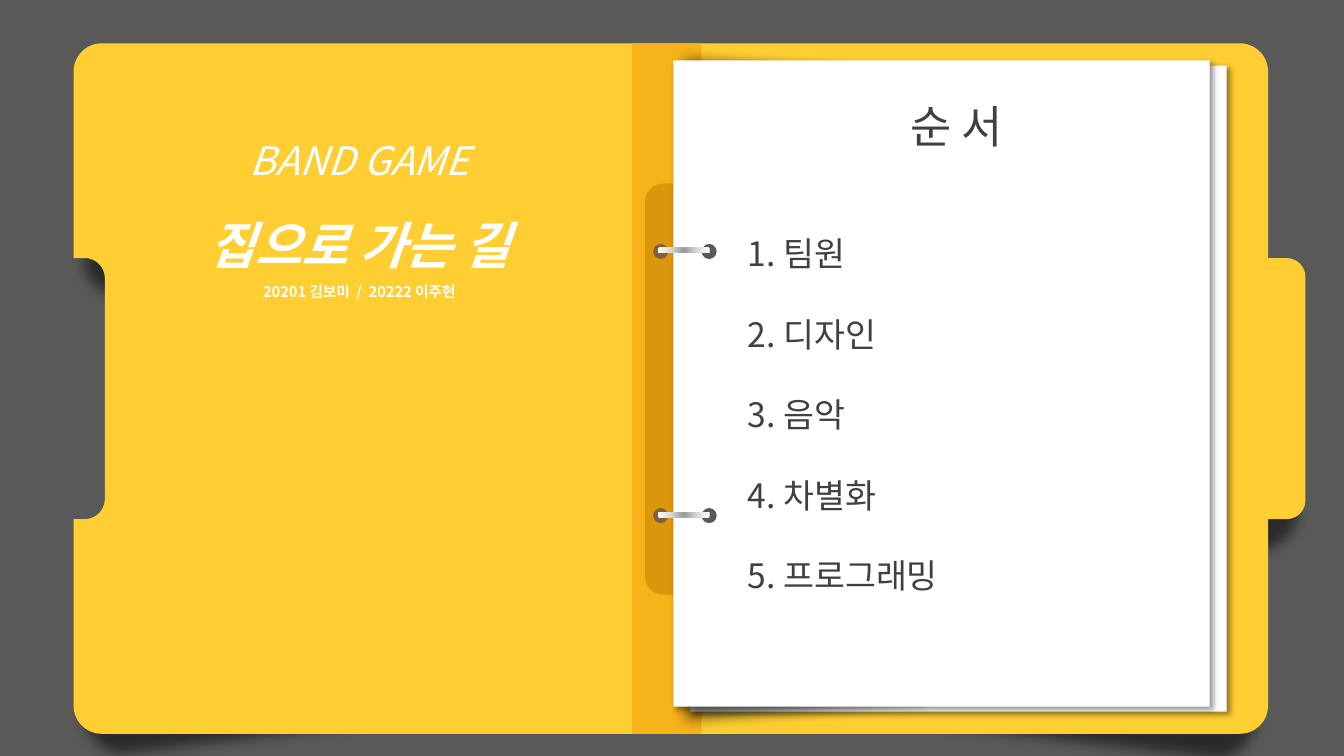
import math

import pptx
import pptx.util
import pptx.dml.color
import pptx.enum.shapes
import pptx.enum.text
import pptx.oxml
import pptx.oxml.ns

SHAPE = pptx.enum.shapes.MSO_SHAPE
ALIGN = pptx.enum.text.PP_ALIGN
FONT = "Noto Sans CJK KR"
NS = pptx.oxml.ns.nsdecls("a")
CELL = pptx.util.Inches(0.1)
COLORS = {
    "desk": "595959",
    "folder": "FFCE33",
    "spine": "F6B31A",
    "clip": "DB970B",
    "paper": "FFFFFF",
    "hole": "83603D",
    "shade": "000000",
    "ink": "404040",
}
AGENDA = ["팀원", "디자인", "음악", "차별화", "프로그래밍"]


def rgb(name):
    return pptx.dml.color.RGBColor.from_string(COLORS[name])


def grid(*cells):
    return [pptx.util.Emu(round(n * CELL)) for n in cells]


def paint(sp, color):
    sp.fill.solid()
    sp.fill.fore_color.rgb = rgb(color)
    sp.line.fill.background()
    sp.shadow.inherit = False


def add_effect(sp, xml):
    effects = sp.element.spPr.find(pptx.oxml.ns.qn("a:effectLst"))
    effects.append(pptx.oxml.parse_xml(xml))


def add_block(s, kind, cells, color, rotation=0, adjust=()):
    sp = s.shapes.add_shape(kind, *grid(*cells))
    paint(sp, color)
    sp.rotation = rotation
    for i, value in enumerate(adjust):
        sp.adjustments[i] = value
    return sp


def add_soft_shade(s, kind, cells, rotation, adjust):
    sp = add_block(s, kind, cells, "shade", rotation, [adjust])
    clr = sp.element.spPr.find(".//" + pptx.oxml.ns.qn("a:srgbClr"))
    clr.append(pptx.oxml.parse_xml(f'<a:alpha {NS} val="53000"/>'))
    add_effect(sp, f'<a:softEdge {NS} rad="{pptx.util.Pt(10)}"/>')


def add_paper(s, left, top):
    sp = add_block(s, SHAPE.RECTANGLE, (left, top, 53.2, 64.1), "paper")
    add_effect(sp, f'<a:outerShdw {NS} blurRad="{pptx.util.Pt(4)}" '
                   f'dist="{pptx.util.Pt(3)}" dir="2700000" algn="tl" rotWithShape="0">'
                   f'<a:srgbClr val="{COLORS["shade"]}"><a:alpha val="40000"/></a:srgbClr>'
                   '</a:outerShdw>')


def arc(cx, cy, radius, start, end, steps=16):
    angles = [math.radians(start + (end - start) * i / steps) for i in range(steps + 1)]
    return [(cx + radius * math.cos(a), cy + radius * math.sin(a)) for a in angles]


def add_folder(s):
    left, top, right, bottom = 7.3, 4.3, 125.8, 72.8
    notch_top, notch_bottom, notch_x = 25.6, 51.5, 8.4
    r, nr = 2.8, 2
    outline = [
        *arc(right - r, top + r, r, 270, 360),
        *arc(right - r, bottom - r, r, 0, 90),
        *arc(left + r, bottom - r, r, 90, 180),
        (left, notch_bottom),
        *arc(notch_x, notch_bottom - nr, nr, 90, 0),
        *arc(notch_x, notch_top + nr, nr, 0, -90),
        (left, notch_top),
        *arc(left + r, top + r, r, 180, 270),
    ]
    points = [grid(*point) for point in outline]
    builder = s.shapes.build_freeform(*points[0])
    builder.add_line_segments(points[1:], close=True)
    paint(builder.convert_to_shape(), "folder")


def add_ring(s, top):
    for left, color in ((69.6, "desk"), (64.8, "hole")):
        add_block(s, SHAPE.OVAL, (left, top, 1.5, 1.5), color)
    bar = add_block(s, SHAPE.RECTANGLE, (65.3, top + 0.4, 5.1, 0.5), "paper")
    stops = "".join(f'<a:gs pos="{pos}"><a:srgbClr val="{color}"/></a:gs>'
                    for pos, color in ((0, "979797"), (50000, "D7D7D7"), (100000, "FFFFFF")))
    gradient = pptx.oxml.parse_xml(
        f'<a:gradFill {NS}><a:gsLst>{stops}</a:gsLst><a:path path="circle">'
        '<a:fillToRect l="50000" t="50000" r="50000" b="50000"/></a:path></a:gradFill>')
    spPr = bar.element.spPr
    spPr.replace(spPr.find(pptx.oxml.ns.qn("a:solidFill")), gradient)


def write(p, text, size, color, align, bold=False, italic=False):
    p.alignment = align
    p.font.size = pptx.util.Pt(size)
    p.font.bold, p.font.italic = bold, italic
    p.font.color.rgb = rgb(color)
    p.font.name = FONT
    r = p.add_run()
    r.text = text
    r.font.size = pptx.util.Pt(size)
    r.font.name = FONT
    r.font._element.append(pptx.oxml.parse_xml(f'<a:ea {NS} typeface="{FONT}"/>'))


def add_textbox(s, cells):
    tf = s.shapes.add_textbox(*grid(*cells)).text_frame
    tf.word_wrap = True
    return tf


def next_paragraph(tf, i):
    return tf.add_paragraph() if i else tf.paragraphs[0]


def add_cover_text(s):
    tf = add_textbox(s, (13.6, 10.7, 44.1, 19.7))
    lines = [("BAND GAME", 28, False, True),
             ("집으로 가는 길", 36, True, True),
             ("20201 김보미  /  20222 이주현", 10.5, True, False)]
    for i, (text, size, bold, italic) in enumerate(lines):
        p = next_paragraph(tf, i)
        p.line_spacing = 1.5
        write(p, text, size, "paper", ALIGN.CENTER, bold, italic)


def add_title(s):
    title = s.shapes.title
    title.left, title.top, title.width, title.height = grid(73.2, 9.3, 43.4, 6.3)
    tf = title.text_frame
    tf.auto_size = pptx.enum.text.MSO_AUTO_SIZE.NONE
    tf.vertical_anchor = pptx.enum.text.MSO_ANCHOR.TOP
    write(tf.paragraphs[0], "순 서", 32, "ink", ALIGN.CENTER)
    title.element.getparent().append(title.element)


def add_agenda(s):
    tf = add_textbox(s, (73.2, 22.6, 43.4, 37.5))
    for i, item in enumerate(AGENDA):
        p = next_paragraph(tf, i)
        p.line_spacing = p.space_after = pptx.util.Pt(28.8)
        write(p, f"{i + 1}. {item}", 24, "ink", ALIGN.JUSTIFY)


def main():
    prs = pptx.Presentation()
    prs.slide_width, prs.slide_height = grid(133.33, 75)
    s = prs.slides.add_slide(prs.slide_layouts[5])
    s.background.fill.solid()
    s.background.fill.fore_color.rgb = rgb("desk")

    pill = SHAPE.ROUNDED_RECTANGLE
    add_soft_shade(s, pill, (118.8, 46.3, 11.5, 9.6), 15.3, 0.5)
    add_soft_shade(s, pill, (6.7, 21.3, 11.5, 9.6), 353.1, 0.5)
    add_soft_shade(s, pill, (87.6, 65.4, 38.4, 9.6), 6.9, 0.46)
    add_soft_shade(s, pill, (6.8, 64.9, 38.4, 9.6), 353.1, 0.46)

    add_folder(s)
    tab = SHAPE.ROUND_2_SAME_RECTANGLE
    add_block(s, tab, (114.7, 36.7, 25.9, 3.7), "folder", 90, (0.5, 0))
    add_block(s, SHAPE.RECTANGLE, (62.7, 4.3, 6.9, 68.5), "spine")
    add_block(s, tab, (45.4, 36.8, 40.8, 3.6), "clip", 270, (0.5, 0))

    add_paper(s, 68.5, 6.5)
    add_soft_shade(s, SHAPE.TRAPEZOID, (45.7, 25.3, 68.5, 26.6), 90, 0.08)
    add_paper(s, 66.8, 6)
    for top in (24.2, 50.4):
        add_ring(s, top)

    add_cover_text(s)
    add_title(s)
    add_agenda(s)
    prs.save("out.pptx")


if __name__ == "__main__":
    main()
